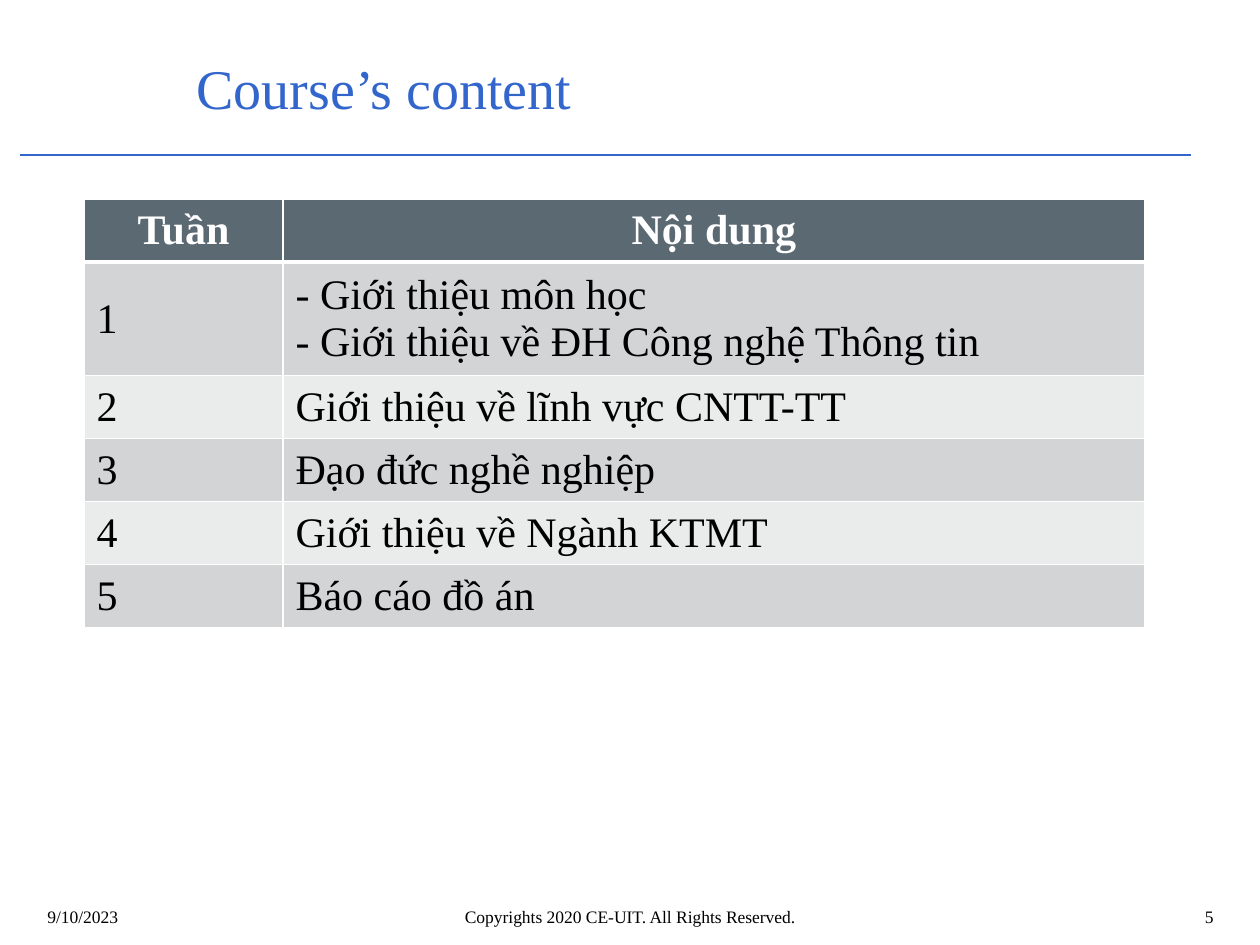
from lxml import etree
from pptx import Presentation
from pptx.dml.color import RGBColor
from pptx.enum import shapes, text
from pptx.oxml import parse_xml
from pptx.oxml.ns import nsdecls, qn
from pptx.util import Emu, Pt

# Content
TITLE = "Course’s content"
HEADER = ("Tuần", "Nội dung")
WEEKS = [
    ("1", "- Giới thiệu môn học\n- Giới thiệu về ĐH Công nghệ Thông tin"),
    ("2", "Giới thiệu về lĩnh vực CNTT-TT"),
    ("3", "Đạo đức nghề nghiệp"),
    ("4", "Giới thiệu về Ngành KTMT"),
    ("5", "Báo cáo đồ án"),
]
LEFT, CENTER, RIGHT = text.PP_ALIGN.LEFT, text.PP_ALIGN.CENTER, text.PP_ALIGN.RIGHT
FOOTER = [  # text, left, width, alignment
    ("9/10/2023", 35, 294, LEFT),
    ("5", 984, 242, RIGHT),
    ("Copyrights 2020 CE-UIT. All Rights Reserved.", 243, 774, CENTER),
]

# Style
FONT = "Times New Roman"
BLUE = RGBColor(0x33, 0x66, 0xCC)
BLACK = RGBColor(0, 0, 0)
WHITE = RGBColor(0xFF, 0xFF, 0xFF)
SLATE = RGBColor(0x5B, 0x69, 0x73)
BANDS = (RGBColor(0xD2, 0xD4, 0xD5), RGBColor(0xEA, 0xEB, 0xEB))
COLUMNS = (199, 862)
ROW_HEIGHT = 52


def px(n):
    return Emu(round(n * 914400 / 126))


def write(frame, content, size, color, align=LEFT, bold=False):
    for i, line in enumerate(content.split("\n")):
        paragraph = frame.paragraphs[0] if i == 0 else frame.add_paragraph()
        paragraph.alignment = align
        run = paragraph.add_run()
        run.text = line
        font = run.font
        font.name, font.size, font.bold = FONT, Pt(size), bold
        font.color.rgb = color


def add_borders(cell, top, bottom):
    properties = cell._tc.get_or_add_tcPr()
    for side, width in (("L", 1), ("R", 1), ("T", top), ("B", bottom)):
        properties.append(parse_xml(
            f'<a:ln{side} {nsdecls("a")} w="{Pt(width)}"><a:solidFill>'
            f'<a:srgbClr val="{WHITE}"/></a:solidFill></a:ln{side}>'))


prs = Presentation()
prs.slide_width, prs.slide_height = px(1260), px(945)
slide = prs.slides.add_slide(prs.slide_layouts[5])

# Title and the rule below it
title = slide.shapes.title
title.left, title.top, title.width, title.height = px(184), px(39), px(1013), px(96)
title.text_frame.vertical_anchor = text.MSO_ANCHOR.MIDDLE
write(title.text_frame, TITLE, 32, BLUE)

rule = slide.shapes.add_connector(
    shapes.MSO_CONNECTOR.STRAIGHT, px(20), px(155), px(1191), px(155))
rule.line.color.rgb = BLUE
rule.line.width = Pt(0.75)
etree.SubElement(rule._element.spPr, qn("a:effectLst"))

# Date, page number and copyright
for content, left, width, align in FOOTER:
    box = slide.shapes.add_textbox(px(left), px(900), px(width), px(40))
    box.text_frame.word_wrap = True
    write(box.text_frame, content, 10, BLACK, align)

# Weekly schedule
rows = [HEADER] + WEEKS
schedule = slide.shapes.add_table(
    len(rows), len(COLUMNS), px(84), px(199),
    px(sum(COLUMNS)), px(ROW_HEIGHT * len(rows))).table
for column, width in zip(schedule.columns, COLUMNS):
    column.width = px(width)
for r, row in enumerate(rows):
    schedule.rows[r].height = px(ROW_HEIGHT)
    is_header = r == 0
    for c, content in enumerate(row):
        cell = schedule.cell(r, c)
        cell.vertical_anchor = text.MSO_ANCHOR.MIDDLE
        add_borders(cell, top=3 if r == 1 else 1, bottom=3 if is_header else 1)
        cell.fill.solid()
        cell.fill.fore_color.rgb = SLATE if is_header else BANDS[(r - 1) % 2]
        write(cell.text_frame, content, 24, WHITE if is_header else BLACK,
              CENTER if is_header else LEFT, is_header)

prs.save("out.pptx")
